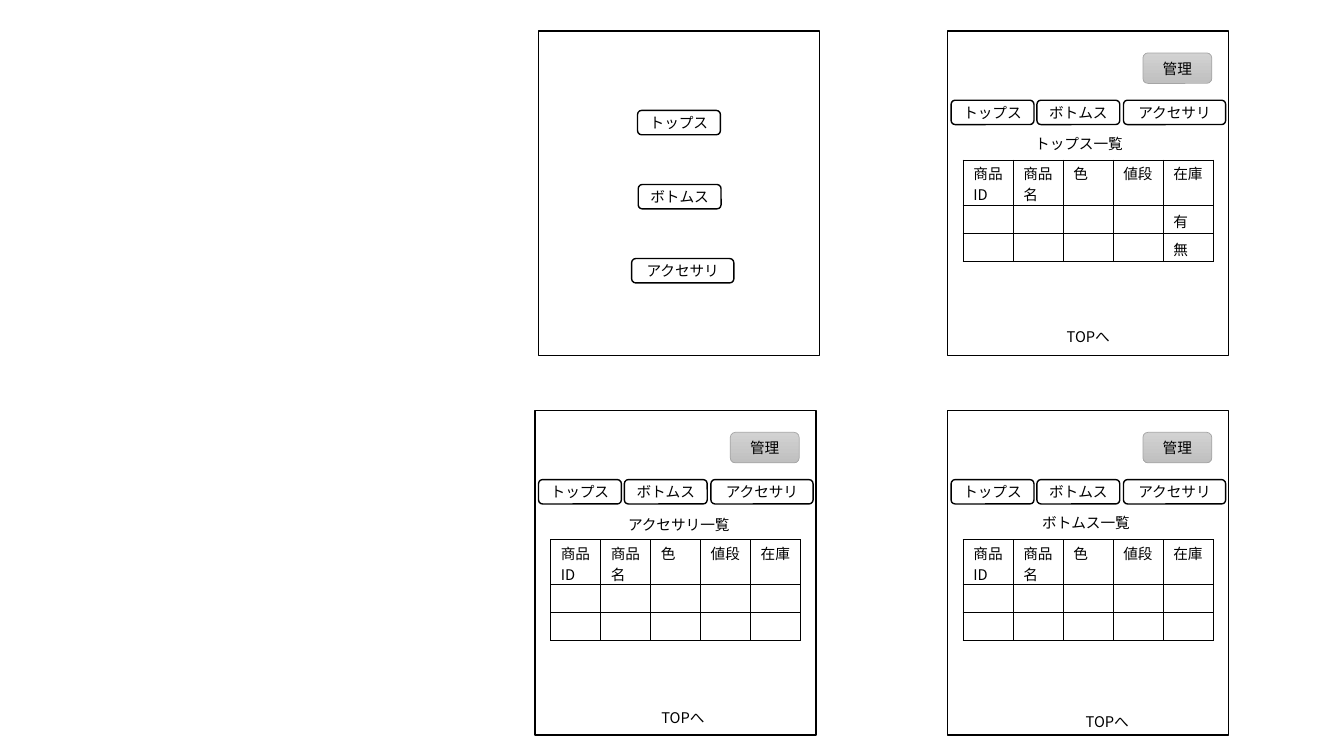
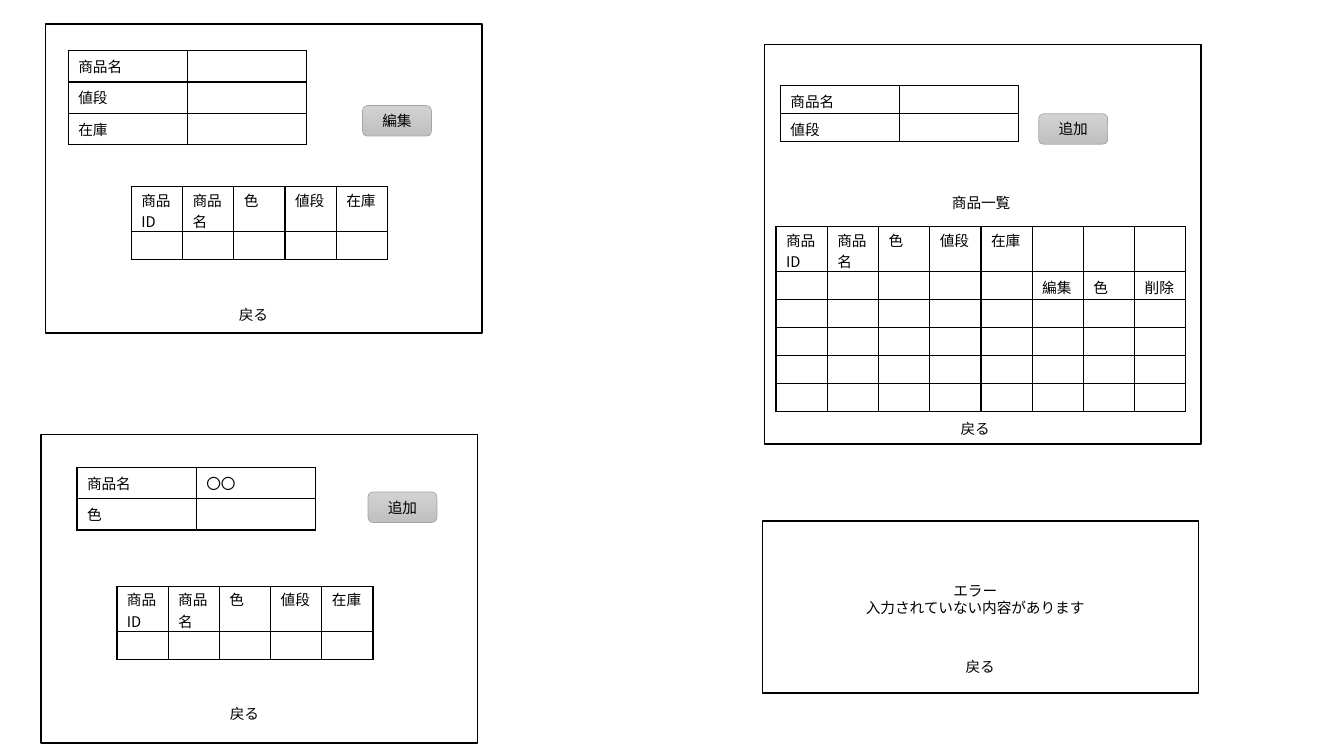
"""Builds two slides of shop screen wireframes: catalogue pages and admin pages."""
from typing import NamedTuple, Sequence

from lxml.etree import SubElement
from pptx import Presentation
from pptx.dml.color import RGBColor
from pptx.enum.shapes import MSO_SHAPE as Preset
from pptx.enum.text import MSO_ANCHOR as Anchor, PP_ALIGN as Align
from pptx.oxml.ns import qn
from pptx.util import Pt

FONT = "Noto Sans CJK JP"
SIZE = 10.5
BLACK, WHITE = "000000", "FFFFFF"
BUTTON_TOP, BUTTON_BOTTOM, BUTTON_EDGE = "D2D2D2", "C0C0C0", "A5A5A5"
LINE_PITCH = 12.6
HEADINGS = ("商品ID", "商品名", "色", "値段", "在庫")
HEAD_HEIGHT, ROW_HEIGHT, TALL_ROW = 32.2, 20, 22.4
LIST_COLUMN, ADMIN_COLUMN, FORM_COLUMN = 35.7, 36.6, 85.2
TITLE_WIDTH, LINK_WIDTH = 124.6, 81.4
SMALL_TAB, WIDE_TAB = 59.2, 73


class Box(NamedTuple):
    left: float
    top: float
    width: float
    height: float


class Label(NamedTuple):
    text: str
    left: float
    top: float
    width: float = LINK_WIDTH


class Button(NamedTuple):
    text: str
    left: float
    top: float


class Tab(NamedTuple):
    text: str
    left: float
    top: float
    width: float = SMALL_TAB


class Grid(NamedTuple):
    left: float
    top: float
    column: float
    heights: Sequence[float]
    rows: Sequence[Sequence[str]]


class Catalogue(NamedTuple):
    left: float
    top: float
    title: Label
    link: Label
    stock: Sequence[str] = ("", "")


class Admin(NamedTuple):
    panel: Box
    labels: Sequence[Label]
    buttons: Sequence[Button] = ()
    grids: Sequence[Grid] = ()


def rgb(value: str) -> RGBColor:
    """Turn a hex string into a colour."""
    return RGBColor.from_string(value)


def format_text(paragraph, align=Align.LEFT) -> None:
    """Apply the shared font to every run, and to an empty paragraph."""
    paragraph.alignment = align
    for run in paragraph.runs:
        run.font.size = Pt(SIZE)
        run.font.name = FONT
        run.font.color.rgb = rgb(BLACK)
        SubElement(run.font._element, qn("a:ea"), typeface=FONT)
    if not paragraph.runs:
        ending = SubElement(paragraph._p, qn("a:endParaRPr"), sz=str(int(SIZE * 100)))
        for tag in ("a:latin", "a:ea"):
            SubElement(ending, qn(tag), typeface=FONT)


def draw_shape(slide, preset, box: Box, text: str = ""):
    """Draw a white shape with a black outline and centred text."""
    shape = slide.shapes.add_shape(preset, *map(Pt, box))
    shape.shadow.inherit = False
    shape.fill.solid()
    shape.fill.fore_color.rgb = rgb(WHITE)
    shape.line.color.rgb = rgb(BLACK)
    shape.line.width = Pt(1)
    frame = shape.text_frame
    frame.vertical_anchor = Anchor.MIDDLE
    frame.text = text
    format_text(frame.paragraphs[0], Align.CENTER)
    return shape


def draw_panel(slide, box: Box) -> None:
    """Draw the outline of one screen."""
    draw_shape(slide, Preset.RECTANGLE, box)


def draw_tab(slide, tab: Tab) -> None:
    """Draw one category tab."""
    draw_shape(slide, Preset.ROUNDED_RECTANGLE,
               Box(tab.left, tab.top, tab.width, 17.4), tab.text)


def draw_button(slide, button: Button) -> None:
    """Draw a grey button with a vertical gradient."""
    shape = draw_shape(slide, Preset.ROUNDED_RECTANGLE,
                       Box(button.left, button.top, 49.2, 21.8), button.text)
    shape.fill.gradient()
    shape.fill.gradient_angle = 270
    for stop, color in zip(shape.fill.gradient_stops, (BUTTON_TOP, BUTTON_BOTTOM)):
        stop.color.rgb = rgb(color)
    shape.line.color.rgb = rgb(BUTTON_EDGE)
    shape.line.width = Pt(0.5)


def draw_label(slide, label: Label) -> None:
    """Draw centred text without an outline."""
    lines = label.text.count("\n") + 1
    box = slide.shapes.add_textbox(Pt(label.left), Pt(label.top), Pt(label.width),
                                   Pt(7.2 + lines * LINE_PITCH))
    frame = box.text_frame
    frame.word_wrap = True
    frame.text = label.text
    for paragraph in frame.paragraphs:
        paragraph.line_spacing = Pt(LINE_PITCH)
        format_text(paragraph, Align.CENTER)


def style_cell(cell, text: str, top_margin: float) -> None:
    """Fill in one cell and give it thin black borders."""
    cell.margin_top, cell.margin_bottom = Pt(top_margin), Pt(0)
    cell.text_frame.text = text
    format_text(cell.text_frame.paragraphs[0])
    properties = cell._tc.get_or_add_tcPr()
    for side in ("a:lnL", "a:lnR", "a:lnT", "a:lnB"):
        line = SubElement(properties, qn(side), w=str(Pt(1)))
        SubElement(SubElement(line, qn("a:solidFill")), qn("a:srgbClr"), val=BLACK)
    cell.fill.background()


def draw_grid(slide, grid: Grid) -> None:
    """Draw a table with equal columns."""
    count = len(grid.rows[0])
    frame = slide.shapes.add_table(
        len(grid.rows), count, Pt(grid.left), Pt(grid.top),
        Pt(grid.column * count), Pt(sum(grid.heights)))
    table = frame.table
    table.first_row = table.horz_banding = False
    for column in table.columns:
        column.width = Pt(grid.column)
    for row, height, texts in zip(table.rows, grid.heights, grid.rows):
        row.height = Pt(height)
        for cell, text in zip(row.cells, texts):
            style_cell(cell, text, 1.8 if height == HEAD_HEIGHT else 3.6)


def product_grid(left: float, top: float, column: float,
                 body: Sequence[Sequence[str]], extra: int = 0) -> Grid:
    """Describe a product table under the shared headings."""
    heights = (HEAD_HEIGHT, *[ROW_HEIGHT] * len(body))
    return Grid(left, top, column, heights, (HEADINGS + ("",) * extra, *body))


def form_grid(left: float, top: float, height: float, *rows: Sequence[str]) -> Grid:
    """Describe an entry form with names on the left."""
    return Grid(left, top, FORM_COLUMN, [height] * len(rows), rows)


def draw_catalogue(slide, page: Catalogue) -> None:
    """Draw one category page with tabs, a product table and a link."""
    left, top = page.left, page.top
    draw_panel(slide, Box(left, top, 200.9, 231.8))
    for tab in (Tab("トップス", 2.6, 49.4), Tab("ボトムス", 63.9, 49.4),
                Tab("アクセサリ", 125.7, 49.4, WIDE_TAB)):
        draw_tab(slide, tab._replace(left=left + tab.left, top=top + tab.top))
    draw_button(slide, Button("管理", left + 139.6, top + 15.6))
    body = [("", "", "", "", state) for state in page.stock]
    draw_grid(slide, product_grid(left + 11.3, top + 92.3, LIST_COLUMN, body))
    for label in (page.title, page.link):
        draw_label(slide, label)


def draw_admin(slide, page: Admin) -> None:
    """Draw one management page."""
    draw_panel(slide, page.panel)
    for button in page.buttons:
        draw_button(slide, button)
    for grid in page.grids:
        draw_grid(slide, grid)
    for label in page.labels:
        draw_label(slide, label)


EMPTY_ROW = ("",) * len(HEADINGS)
HOME_PANEL = Box(384.5, 22.2, 200.9, 231.8)
HOME_TABS = (Tab("トップス", 455.4, 78.9), Tab("ボトムス", 455.9, 131.8),
             Tab("アクセサリ", 451.2, 184.7, WIDE_TAB))
CATALOGUES = (
    Catalogue(676.8, 22.2, Label("トップス一覧", 708.5, 92.9, TITLE_WIDTH),
              Label("TOPへ", 736.6, 230.4), ("有", "無")),
    Catalogue(676.8, 293.2, Label("ボトムス一覧", 713.5, 363.6, TITLE_WIDTH),
              Label("TOPへ", 750.2, 505.4)),
    Catalogue(382.1, 293.2, Label("アクセサリ一覧", 422.6, 365, TITLE_WIDTH),
              Label("TOPへ", 447.1, 502.6)),
)
ADMINS = (
    Admin(Box(32.4, 17.3, 311.8, 220.6), [Label("戻る", 140.4, 214.6)],
          [Button("編集", 259, 75.4)],
          [form_grid(48.8, 36.1, TALL_ROW, ("商品名", ""), ("値段", ""), ("在庫", "")),
           product_grid(93.8, 133.4, ADMIN_COLUMN, [EMPTY_ROW])]),
    Admin(Box(29.3, 310.2, 311.8, 220.6), [Label("戻る", 133.9, 499.7)],
          [Button("追加", 262.9, 351.4)],
          [form_grid(55, 333.8, TALL_ROW, ("商品名", "〇〇"), ("色", "")),
           product_grid(83.5, 418.9, ADMIN_COLUMN, [EMPTY_ROW])]),
    Admin(Box(546.2, 31.7, 311.8, 285.4),
          [Label("商品一覧", 638.6, 134.6, TITLE_WIDTH), Label("戻る", 655.9, 296.6)],
          [Button("追加", 742, 81.2)],
          [form_grid(557.4, 61, ROW_HEIGHT, ("商品名", ""), ("値段", "")),
           product_grid(554.3, 161.9, ADMIN_COLUMN,
                        [EMPTY_ROW + ("編集", "色", "削除")] + [EMPTY_ROW + ("",) * 3] * 4,
                        extra=3)]),
    Admin(Box(544.5, 372.1, 311.8, 122.9),
          [Label("エラー\n入力されていない内容があります", 603.4, 411.8, 186.5),
           Label("戻る", 659.5, 466.6)]),
)


def main() -> None:
    """Build and save the presentation."""
    presentation = Presentation()
    presentation.slide_width, presentation.slide_height = Pt(960), Pt(540)
    shop, management = (presentation.slides.add_slide(presentation.slide_layouts[6])
                        for _ in range(2))
    draw_panel(shop, HOME_PANEL)
    for tab in HOME_TABS:
        draw_tab(shop, tab)
    for catalogue in CATALOGUES:
        draw_catalogue(shop, catalogue)
    for admin in ADMINS:
        draw_admin(management, admin)
    presentation.save("out.pptx")


main()
